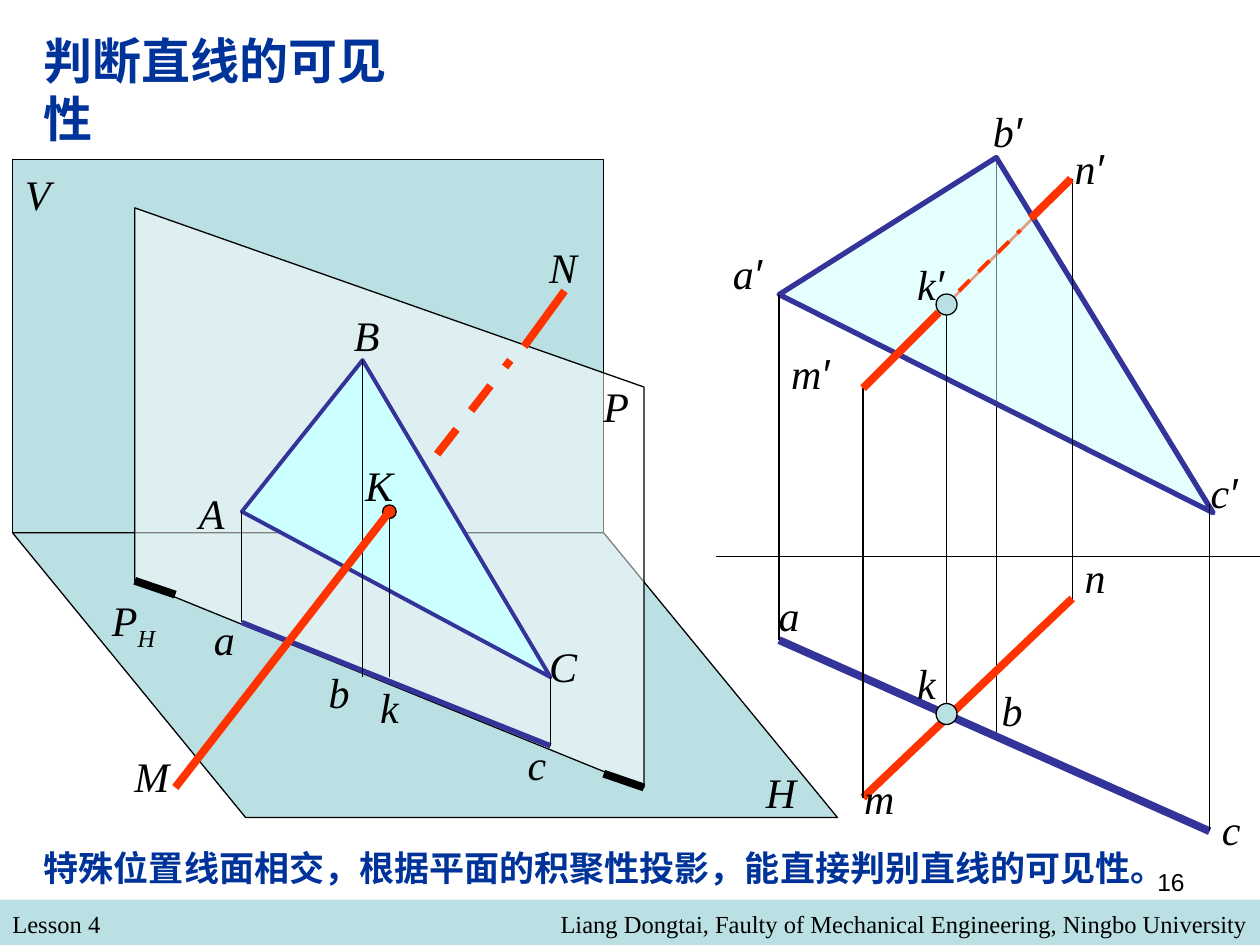
from lxml.etree import SubElement
from pptx import Presentation
from pptx.dml.color import RGBColor
from pptx.enum.dml import MSO_LINE
from pptx.enum.shapes import MSO_CONNECTOR, MSO_SHAPE
from pptx.enum.text import PP_ALIGN
from pptx.oxml.ns import qn
from pptx.util import Pt

COLORS = {"teal": "BBE0E3", "white": "FFFFFF", "cyan": "CCFFFF", "black": "000000",
          "blue": "333399", "red": "FF3300", "heading": "003399"}
SERIF, SANS, CJK = "Times New Roman", "Arial", "Noto Sans CJK SC"

prs = Presentation()
prs.slide_width, prs.slide_height = Pt(720), Pt(540)
slide = prs.slides.add_slide(prs.slide_layouts[6])
shapes = slide.shapes


def draw(points, color="black", width=0.75, fill=None, opacity=100, dashed=False):
    """Draw a straight line through two points, or a closed filled outline through more."""
    corners = [(Pt(x), Pt(y)) for x, y in points]
    if fill is None:
        (x1, y1), (x2, y2) = corners
        figure = shapes.add_connector(MSO_CONNECTOR.STRAIGHT, x1, y1, x2, y2)
    else:
        builder = shapes.build_freeform(*corners[0], scale=1.0)
        builder.add_line_segments(corners[1:], close=True)
        figure = builder.convert_to_shape()
        figure.shadow.inherit = False
        figure.fill.solid()
        figure.fill.fore_color.rgb = RGBColor.from_string(COLORS[fill])
        if opacity < 100:
            color_element = figure._element.spPr.find(qn("a:solidFill"))[0]
            SubElement(color_element, qn("a:alpha")).set("val", str(opacity * 1000))
    figure.line.color.rgb = RGBColor.from_string(COLORS[color])
    figure.line.width = Pt(width)
    if dashed:
        figure.line.dash_style = MSO_LINE.DASH
    if fill is None:
        SubElement(figure._element.spPr, qn("a:effectLst"))


def write(text, left, top, width, height, size, font=SERIF, color="black",
          bold=False, italic=False, align=PP_ALIGN.LEFT, wrap=True):
    """Add a one-paragraph text box and return the paragraph."""
    frame = shapes.add_textbox(Pt(left), Pt(top), Pt(width), Pt(height)).text_frame
    frame.word_wrap = wrap
    paragraph = frame.paragraphs[0]
    paragraph.text = text
    paragraph.alignment = align
    run = paragraph.runs[0]
    run.font.size, run.font.name = Pt(size), font
    run.font.bold, run.font.italic = bold, italic
    run.font.color.rgb = RGBColor.from_string(COLORS[color])
    SubElement(run._r.get_or_add_rPr(), qn("a:ea")).set("typeface", CJK)
    return paragraph


# Footer
footer = shapes.add_shape(MSO_SHAPE.RECTANGLE, 0, Pt(514), Pt(720), Pt(26))
footer.shadow.inherit = False
footer.fill.solid()
footer.fill.fore_color.rgb = RGBColor.from_string(COLORS["teal"])
footer.line.fill.background()
write("Lesson 4", 0, 516.2, 348, 24.5, 14)
write("Liang Dongtai, Faulty of Mechanical Engineering, Ningbo University",
      132, 516.2, 588, 24.5, 14, align=PP_ALIGN.RIGHT)
write("16", 516, 492, 168, 37.4, 14, font=SANS, align=PP_ALIGN.RIGHT)

# Spatial view: planes V and H, then the cutting plane P with its trace ends
draw([(7.2, 91), (345, 91), (345, 304.5), (7.2, 304.5)], fill="teal")
draw([(7.2, 304.5), (140.4, 467.2), (478.6, 467.2), (345, 304.5)], fill="teal")
draw([(77, 331.9), (77, 118.8), (368, 221.2), (368, 450), (358.6, 446.4)],
     fill="white", opacity=50)
draw([(77, 331.9), (100.2, 339.8)], width=4.5)
draw([(345, 442.1), (368, 450)], width=4.5)

# Spatial view: triangle ABC, its projection ac, and line MN piercing it at K
A, B, C = (138.2, 292.4), (207.2, 205.8), (314.6, 387)
K, M = (222.5, 292.4), (100.2, 450)
a, c = (138.2, 355.7), (314.6, 426.2)
draw([(230.4, 284.4), (291.6, 205.9)], "red", 4.5, dashed=True)
draw([A, C, B], "blue", 2.25, fill="cyan")
draw([a, c], "blue", 3)
for top, foot in [(A, a[1]), (B, 387), (C, c[1]), (K, 387)]:
    draw([top, (top[0], foot)])
piercing_points = [(K, 7.8, "red")]
draw([(299.5, 198), (322.6, 166.3)], "red", 4.5)

# Two-view drawing: projections of the triangle and of the line
a_front, b_front, c_front = (445.2, 168.3), (569.3, 90), (693.2, 293)
a_top, c_top = (445.2, 365.8), (691.2, 475)
m_front, n_front = (493.2, 221.8), (612.7, 102.2)
m_top, n_top = (493.2, 455.8), (612.7, 342)
k_front, k_top = (540.9, 174), (540.9, 408)
draw([m_front, n_front], "red", 1.5)
draw([b_front, (b_front[0], 419.8)])
draw([(409, 318), (720, 318)])
draw([a_top, c_top], "blue", 4.5)
draw([a_front, b_front, c_front], "blue", 3, fill="cyan", opacity=50)
draw([m_top, n_top], "red", 4.5)
for top, foot in [(n_front, n_top), (m_front, m_top), (a_front, a_top),
                  ((c_top[0], 288), c_top), (k_front, k_top)]:
    draw([top, foot])
piercing_points += [(k_top, 12, "teal"), (k_front, 12, "teal")]

for (x, y), diameter, fill in piercing_points:
    dot = shapes.add_shape(MSO_SHAPE.OVAL, Pt(x - diameter / 2), Pt(y - diameter / 2),
                           Pt(diameter), Pt(diameter))
    dot.shadow.inherit = False
    dot.fill.solid()
    dot.fill.fore_color.rgb = RGBColor.from_string(COLORS[fill])
    dot.line.color.rgb = RGBColor.from_string(COLORS["black"])
    dot.line.width = Pt(0.75)

# Visible and hidden stretches of the line
draw([M, K], "red", 4.5)
draw([m_front, (536.4, 178.6)], "red", 4.5)
draw([(547.9, 166.3), (583.2, 131.5)], "red", 2.25, dashed=True)
draw([(589, 124.8), (612, 102.2)], "red", 4.5)

# Labels: letter, suffix, left, top, width
labels = [
    ("V", "", 7.2, 92.9, 33), ("H", "", 430.6, 434.2, 61), ("P", "H", 56.9, 336.2, 61),
    ("P", "", 337.7, 213.8, 38), ("A", "", 106.6, 275, 61), ("B", "", 195.1, 173.5, 69),
    ("C", "", 306.7, 362.2, 69), ("a", "", 115.2, 347, 61), ("c", "", 294.5, 418.3, 61),
    ("b", "", 180.7, 377.3, 61), ("k", "", 210.2, 385.9, 61), ("N", "", 306.7, 134.6, 61),
    ("K", "", 201.6, 259.2, 61), ("M", "", 69.8, 425.5, 61),
    ("b", "′", 560.2, 56.9, 40), ("b", "", 565.2, 387.4, 35),
    ("a", "′", 411.8, 138.2, 42), ("a", "", 437.8, 333.4, 31),
    ("c", "′", 684.7, 262.8, 35), ("c", "", 691.2, 455.8, 28),
    ("m", "′", 445, 195.1, 54), ("m", "", 486.7, 437.8, 31),
    ("n", "′", 607, 77.8, 54), ("n", "", 612.7, 311.8, 40),
    ("k", "′", 517, 144, 42), ("k", "", 517, 372.2, 24),
]
for letter, suffix, left, top, width in labels:
    label = write(letter, left, top, width, 36, 24, italic=True)
    if suffix:
        mark = label.add_run()
        mark.text = suffix
        mark.font.size, mark.font.italic = Pt(24), True
        mark.font.color.rgb = RGBColor.from_string(COLORS["black"])
        mark.font.name = SANS if suffix == "′" else SERIF
        if suffix == "H":
            mark._r.get_or_add_rPr().set("baseline", "-25000")

# Title and conclusion
write("特殊位置线面相交，根据平面的积聚性投影，能直接判别直线的可见性。",
      18, 480, 664.5, 31.7, 20, font=CJK, color="heading", bold=True)
write("判断直线的可见性", 18, 13.7, 237.6, 41, 28, font=SANS, color="heading",
      bold=True, wrap=False)

prs.save("out.pptx")
